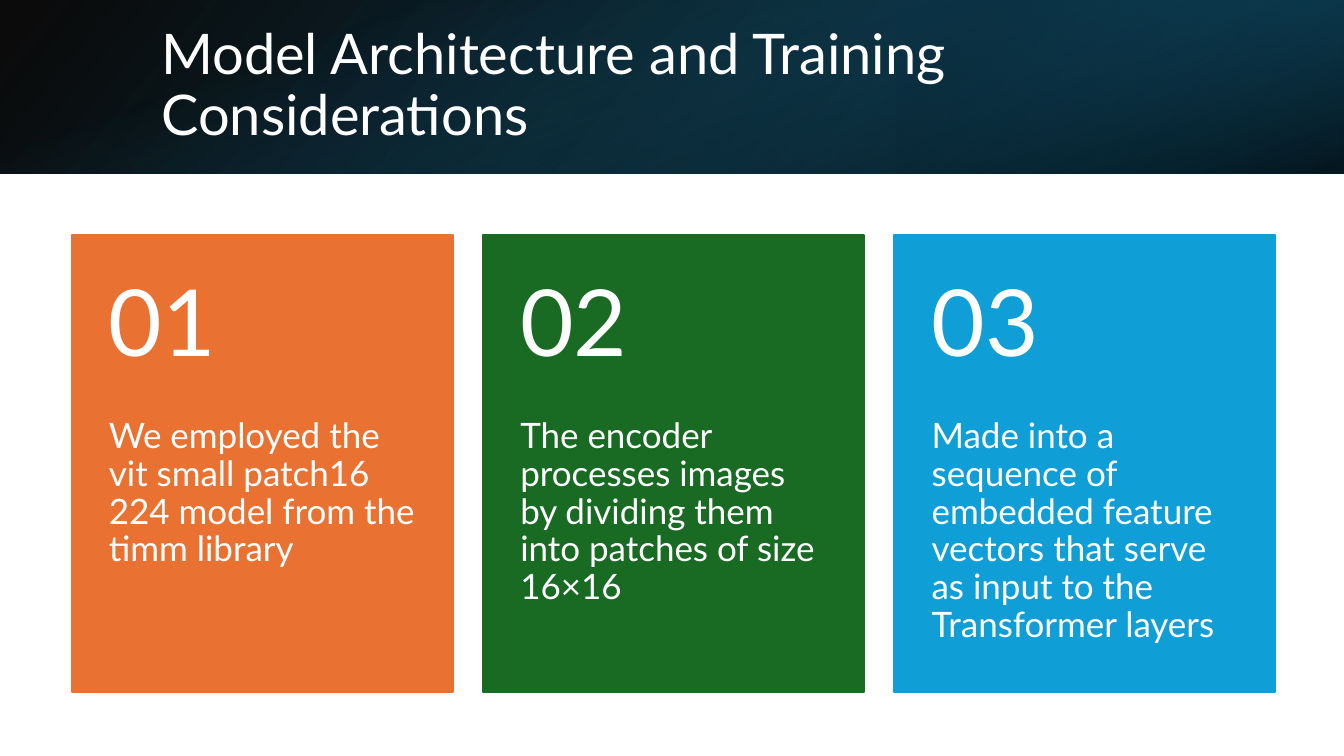
from dataclasses import dataclass

from lxml import etree
from pptx import Presentation
from pptx.dml.color import RGBColor
from pptx.enum.shapes import MSO_SHAPE
from pptx.enum.text import MSO_ANCHOR, MSO_AUTO_SIZE, PP_ALIGN
from pptx.oxml.ns import qn
from pptx.shapes.autoshape import Shape
from pptx.shapes.shapetree import GroupShapes, SlideShapes
from pptx.text.text import TextFrame
from pptx.util import Inches, Pt

RECTANGLE = MSO_SHAPE.RECTANGLE
TOP, MIDDLE = MSO_ANCHOR.TOP, MSO_ANCHOR.MIDDLE
LEFT = PP_ALIGN.LEFT
NO_AUTOFIT = MSO_AUTO_SIZE.NONE

WHITE = RGBColor(0xFF, 0xFF, 0xFF)
BLACK = RGBColor(0x00, 0x00, 0x00)
NIGHT = RGBColor(0x0B, 0x30, 0x41)
DEEP_TEAL = RGBColor(0x10, 0x48, 0x62)
TEAL = RGBColor(0x15, 0x60, 0x82)
ORANGE = RGBColor(0xE9, 0x71, 0x32)
GREEN = RGBColor(0x19, 0x6B, 0x24)
BLUE = RGBColor(0x0F, 0x9E, 0xD5)

FONT = "Lato"
SLIDE_WIDTH, SLIDE_HEIGHT = 13.33, 7.5
HEADER_HEIGHT = 1.72
CARD_LEFT, CARD_TOP, CARD_PITCH = 0.71, 2.33, 4.08
CARD_WIDTH, CARD_HEIGHT, NUMBER_HEIGHT = 3.78, 4.54, 1.82
CARD_INSET = 0.37


@dataclass(frozen=True)
class GradientStop:
    position: int
    color: RGBColor
    opacity: int


@dataclass(frozen=True)
class HeaderLayer:
    left: float
    top: float
    width: float
    height: float
    rotation: int
    flipped: bool
    angle: int
    stops: tuple[GradientStop, ...]


@dataclass(frozen=True)
class Card:
    color: RGBColor
    statement: str


HEADER_LAYERS = (
    HeaderLayer(0, 0, SLIDE_WIDTH, HEADER_HEIGHT, 0, True, 140,
                (GradientStop(0, BLACK, 96), GradientStop(100, DEEP_TEAL, 100))),
    HeaderLayer(8.89, 0, 4.44, HEADER_HEIGHT, 180, True, 320,
                (GradientStop(19, NIGHT, 68), GradientStop(100, TEAL, 79))),
    HeaderLayer((SLIDE_WIDTH - HEADER_HEIGHT) / 2, (HEADER_HEIGHT - SLIDE_WIDTH) / 2,
                HEADER_HEIGHT, SLIDE_WIDTH, 90, False, 340,
                (GradientStop(23, TEAL, 0), GradientStop(99, BLACK, 74))),
)
CARDS = (
    Card(ORANGE, "We employed the vit small patch16 224 model from the timm library"),
    Card(GREEN, "The encoder processes images by dividing them into patches of size 16×16"),
    Card(BLUE, "Made into a sequence of embedded feature vectors that serve as input "
               "to the Transformer layers"),
)


def fill_gradient(shape: Shape, layer: HeaderLayer) -> None:
    """Give the shape a linear gradient whose stops may be see-through."""
    gradient = etree.Element(qn("a:gradFill"), rotWithShape="1")
    stop_list = etree.SubElement(gradient, qn("a:gsLst"))
    for stop in layer.stops:
        entry = etree.SubElement(stop_list, qn("a:gs"), pos=str(stop.position * 1000))
        color = etree.SubElement(entry, qn("a:srgbClr"), val=str(stop.color))
        etree.SubElement(color, qn("a:alpha"), val=str(stop.opacity * 1000))
    etree.SubElement(gradient, qn("a:lin"), ang=str(layer.angle * 60000), scaled="0")
    shape._element.spPr.find(qn("a:prstGeom")).addnext(gradient)


def draw_header_layer(shapes: SlideShapes, layer: HeaderLayer) -> None:
    band = shapes.add_shape(RECTANGLE, Inches(layer.left), Inches(layer.top),
                            Inches(layer.width), Inches(layer.height))
    band.shadow.inherit = False
    band.line.fill.background()
    band.rotation = layer.rotation
    if layer.flipped:
        band._element.spPr.find(qn("a:xfrm")).set("flipH", "1")
    fill_gradient(band, layer)


def write(frame: TextFrame, text: str, size: int, anchor: MSO_ANCHOR,
          insets: tuple[float, float, float, float]) -> None:
    """Write one left-aligned white paragraph; insets run left, top, right, bottom."""
    left, top, right, bottom = map(Inches, insets)
    frame_format = {
        "auto_size": NO_AUTOFIT, "word_wrap": True, "vertical_anchor": anchor,
        "margin_left": left, "margin_top": top,
        "margin_right": right, "margin_bottom": bottom,
    }
    for name, value in frame_format.items():
        setattr(frame, name, value)
    paragraph = frame.paragraphs[0]
    paragraph.alignment = LEFT
    paragraph.line_spacing = 0.9
    run = paragraph.add_run()
    run.text = text
    for name, value in {"name": FONT, "size": Pt(size)}.items():
        setattr(run.font, name, value)
    run.font.color.rgb = WHITE


def draw_card(shapes: GroupShapes, index: int, card: Card) -> None:
    left, width = Inches(CARD_LEFT + index * CARD_PITCH), Inches(CARD_WIDTH)
    top, number_height = Inches(CARD_TOP), Inches(NUMBER_HEIGHT)
    panel = shapes.add_shape(RECTANGLE, left, top, width, Inches(CARD_HEIGHT))
    panel.shadow.inherit = False
    panel.fill.solid()
    panel.fill.fore_color.rgb = card.color
    panel.line.color.rgb = card.color
    panel.line.width = Pt(1.5)

    statement = shapes.add_textbox(left, top + number_height, width,
                                   Inches(CARD_HEIGHT - NUMBER_HEIGHT))
    write(statement.text_frame, card.statement, 25, TOP, (CARD_INSET, 0, CARD_INSET, 0.36))
    number = shapes.add_textbox(left, top, width, number_height)
    write(number.text_frame, f"{index + 1:02}", 66, MIDDLE,
          (CARD_INSET, 0.18, CARD_INSET, 0.18))


def main() -> None:
    presentation = Presentation()
    presentation.slide_width = Inches(SLIDE_WIDTH)
    presentation.slide_height = Inches(SLIDE_HEIGHT)
    slide = presentation.slides.add_slide(presentation.slide_layouts[5])
    slide.background.fill.solid()
    slide.background.fill.fore_color.rgb = WHITE

    for layer in HEADER_LAYERS:
        draw_header_layer(slide.shapes, layer)

    title = slide.shapes.title
    title_place = {"left": 1.5, "top": 0.38, "width": 10.98, "height": 0.96}
    for name, value in title_place.items():
        setattr(title, name, Inches(value))
    write(title.text_frame, "Model Architecture and Training Considerations", 40, MIDDLE,
          (0.1, 0.05, 0.1, 0.05))
    # The title has to stand in front of the header layers.
    slide.shapes._spTree.append(title._element)

    card_group = slide.shapes.add_group_shape()
    for index, card in enumerate(CARDS):
        draw_card(card_group.shapes, index, card)

    presentation.save("out.pptx")


if __name__ == "__main__":
    main()
